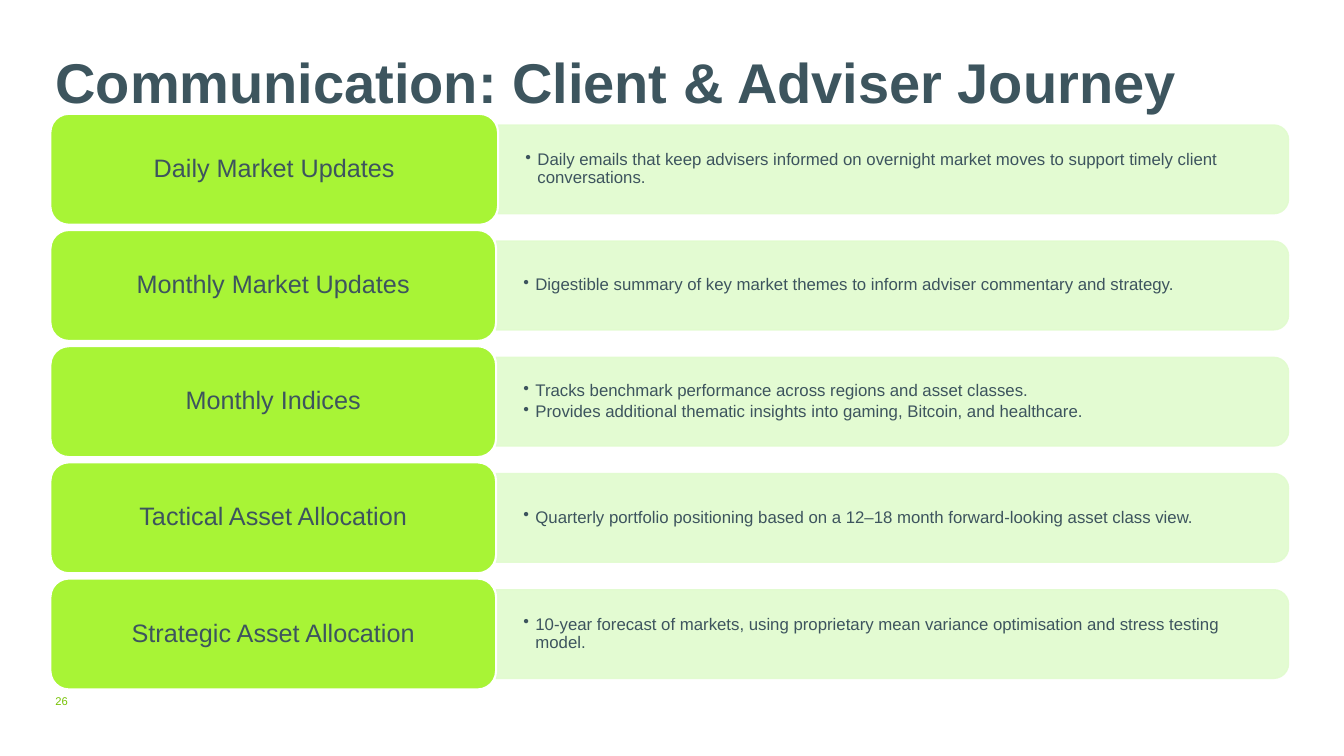
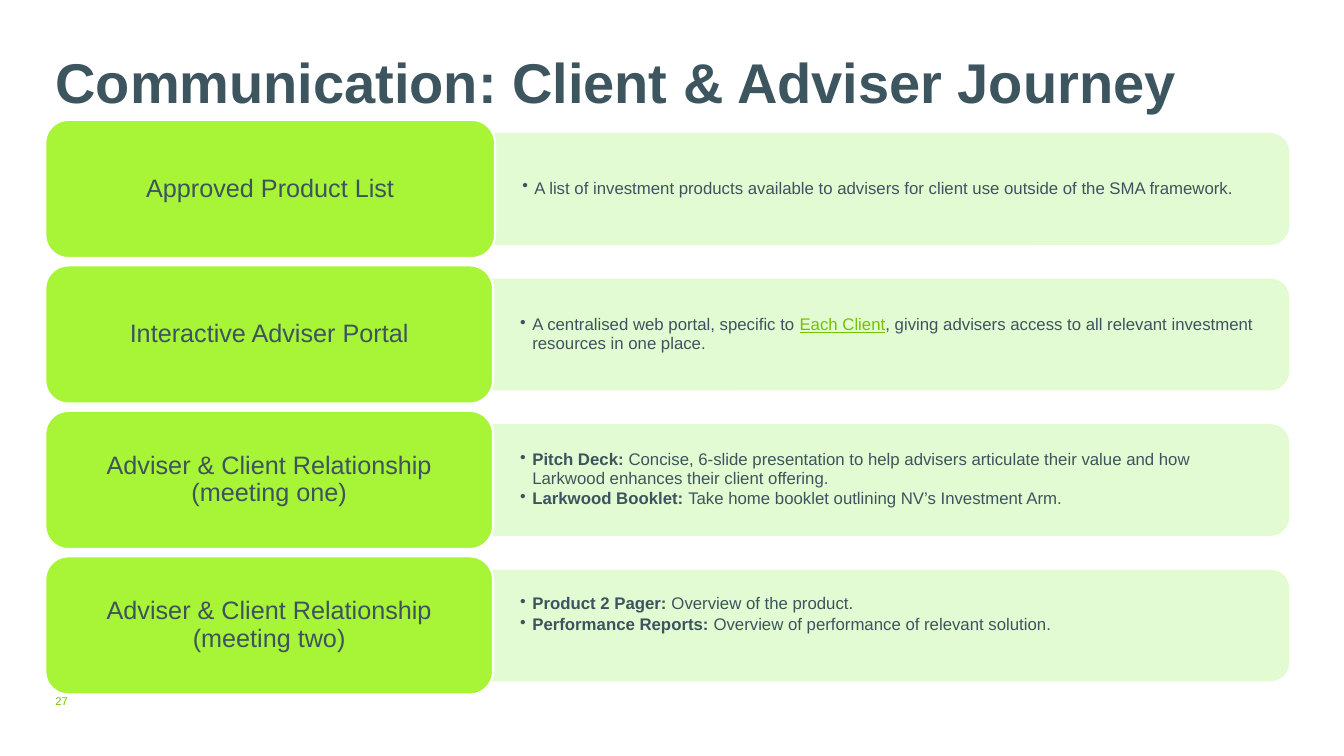
from dataclasses import dataclass

from lxml import etree
from pptx import Presentation
from pptx.dml.color import RGBColor
from pptx.enum import shapes, text
from pptx.oxml import ns
from pptx.util import Emu, Pt

TITLE = "Communication: Client & Adviser Journey"
FIRST_NUMBER = 26

SLIDES = [
    {
        "left": 50, "first_top": 113, "last_top": 574, "label_height": 110, "label_width": 442,
        "rows": [
            ("Daily Market Updates", [[("Daily emails that keep advisers informed on overnight market moves "
                                        "to support timely client conversations.", "body")]]),
            ("Monthly Market Updates", [[("Digestible summary of key market themes to inform adviser "
                                          "commentary and strategy.", "body")]]),
            ("Monthly Indices", [
                [("Tracks benchmark performance across regions and asset classes.", "body")],
                [("Provides additional thematic insights into gaming, Bitcoin, and healthcare.", "body")],
            ]),
            ("Tactical Asset Allocation", [[("Quarterly portfolio positioning based on a 12–18 month "
                                             "forward-looking asset class view.", "body")]]),
            ("Strategic Asset Allocation", [[("10-year forecast of markets, using proprietary mean variance "
                                              "optimisation and stress testing model.", "body")]]),
        ],
    },
    {
        "left": 45, "first_top": 119, "last_top": 552, "label_height": 137, "label_width": 444,
        "raised_row": 3,
        "rows": [
            ("Approved Product List", [[("A list of investment products available to advisers for client use "
                                         "outside of the SMA framework.", "body")]]),
            ("Interactive Adviser Portal", [[
                ("A centralised web portal, specific to ", "body"),
                ("Each Client", "link"),
                (", giving advisers access to all relevant investment resources in one place.", "body"),
            ]]),
            ("Adviser & Client Relationship\v(meeting one)", [
                [("Pitch Deck: ", "strong"),
                 ("Concise, 6-slide presentation to help advisers articulate their value and how "
                  "Larkwood enhances their client offering.", "body")],
                [("Larkwood Booklet: ", "strong"),
                 ("Take home booklet outlining NV’s Investment Arm.", "body")],
            ]),
            ("Adviser & Client Relationship\v(meeting two)", [
                [("Product 2 Pager: ", "strong"), ("Overview of the product.", "body")],
                [("Performance Reports: ", "strong"),
                 ("Overview of performance of relevant solution.", "body")],
            ]),
        ],
    },
]


@dataclass(frozen=True)
class Theme:
    font: str = "Arial"
    title: str = "3D555E"
    ink: str = "3D545E"
    link: str = "75C104"
    number: str = "76C204"
    label: str = "A8F436"
    panel: str = "E1FBCE"
    white: str = "FFFFFF"
    title_size: int = 40
    label_size: int = 18
    body_size: int = 12
    number_size: int = 8


THEME = Theme()
STYLES = {
    "title": (THEME.title, {"size": Pt(THEME.title_size), "bold": True}),
    "label": (THEME.ink, {"size": Pt(THEME.label_size), "bold": False}),
    "body": (THEME.ink, {"size": Pt(THEME.body_size), "bold": False}),
    "strong": (THEME.ink, {"size": Pt(THEME.body_size), "bold": True}),
    "link": (THEME.link, {"size": Pt(THEME.body_size), "underline": True}),
    "number": (THEME.number, {"size": Pt(THEME.number_size)}),
}
PANEL_RIGHT = 1278
PANEL_RATIO = 0.8
FIRST_LABEL_EXTRA = 2
BULLET_INDENT = 12


def px(value):
    return Emu(round(value * 9144))


def assign(target, values):
    for name, value in values.items():
        setattr(target, name, value)


def set_frame(box, anchor, left=0, top=0, right=0, bottom=0):
    frame = box.text_frame
    assign(frame, {
        "word_wrap": True, "auto_size": text.MSO_AUTO_SIZE.NONE, "vertical_anchor": anchor,
        "margin_left": px(left), "margin_top": px(top),
        "margin_right": px(right), "margin_bottom": px(bottom),
    })
    return frame


def write(para, spans, **layout):
    assign(para, layout)
    for words, style in spans:
        para.add_run().text = words
        if "\v" in words:
            para.text = words
        color, values = STYLES[style]
        for span in para.runs if "\v" in words else para.runs[-1:]:
            assign(span.font, {"name": THEME.font, **values})
            span.font.color.rgb = RGBColor.from_string(color)


def add_bullet(para):
    properties = para._p.get_or_add_pPr()
    properties.set("marL", str(px(BULLET_INDENT)))
    properties.set("indent", str(-px(BULLET_INDENT)))
    etree.SubElement(properties, ns.qn("a:buChar")).set("char", "•")


def add_block(page, kind, area, fill, line, width):
    block = page.shapes.add_shape(kind, *map(px, area))
    block.shadow.inherit = False
    block.fill.solid()
    block.fill.fore_color.rgb = RGBColor.from_string(fill)
    block.line.color.rgb = RGBColor.from_string(line)
    block.line.width = Pt(width)
    return block


def add_panel(page, left, middle, height):
    width = PANEL_RIGHT - left
    center = left + width / 2
    area = (center - height / 2, middle - width / 2, height, width)
    panel = add_block(page, shapes.MSO_SHAPE.ROUND_2_SAME_RECTANGLE, area, THEME.panel, THEME.panel, 1)
    panel.rotation = 90
    for color in panel._element.spPr.iter(ns.qn("a:srgbClr")):
        etree.SubElement(color, ns.qn("a:alpha")).set("val", "90000")


def add_details(page, left, middle, height, details, raised):
    area = (left, middle - height / 2, PANEL_RIGHT - left - 5, height)
    box = page.shapes.add_textbox(*map(px, area))
    frame = set_frame(box, text.MSO_ANCHOR.MIDDLE, 27, 14, 27, 35 if raised else 14)
    for index, spans in enumerate(details):
        para = frame.add_paragraph() if index else frame.paragraphs[0]
        add_bullet(para)
        write(para, spans, line_spacing=0.9, space_after=Pt(2))


def add_label(page, area, words):
    label = add_block(page, shapes.MSO_SHAPE.ROUNDED_RECTANGLE, area, THEME.label, THEME.white, 1.5)
    frame = set_frame(label, text.MSO_ANCHOR.MIDDLE, 13, 10, 13, 10)
    write(frame.paragraphs[0], [(words, "label")], alignment=text.PP_ALIGN.CENTER,
          line_spacing=0.9, space_after=Pt(6))


def add_rows(page, content):
    rows, left, height = content["rows"], content["left"], content["label_height"]
    pitch = (content["last_top"] - content["first_top"]) / (len(rows) - 1)
    panel_height = height * PANEL_RATIO
    for index, (words, details) in enumerate(rows):
        top = content["first_top"] + index * pitch
        middle = top + height / 2
        width = content["label_width"] + (0 if index else FIRST_LABEL_EXTRA)
        add_panel(page, left + width, middle, panel_height)
        add_details(page, left + width, middle, panel_height * 0.9, details,
                    index == content.get("raised_row"))
        add_label(page, (left, top, width, height), words)


def add_page(deck, content, number):
    page = deck.slides.add_slide(deck.slide_layouts[5])
    title = page.shapes.title
    assign(title, dict(zip(("left", "top", "width", "height"), map(px, (55, 55, 1126, 95)))))
    frame = set_frame(title, text.MSO_ANCHOR.TOP)
    write(frame.paragraphs[0], [(TITLE, "title")], alignment=text.PP_ALIGN.LEFT, line_spacing=0.9)
    footer = page.shapes.add_textbox(*map(px, (55, 684, 42, 22)))
    frame = set_frame(footer, text.MSO_ANCHOR.MIDDLE)
    write(frame.paragraphs[0], [(str(number), "number")])
    add_rows(page, content)


def main():
    deck = Presentation()
    deck.slide_width, deck.slide_height = px(1333), px(750)
    for number, content in enumerate(SLIDES, FIRST_NUMBER):
        add_page(deck, content, number)
    deck.save("out.pptx")


if __name__ == "__main__":
    main()
